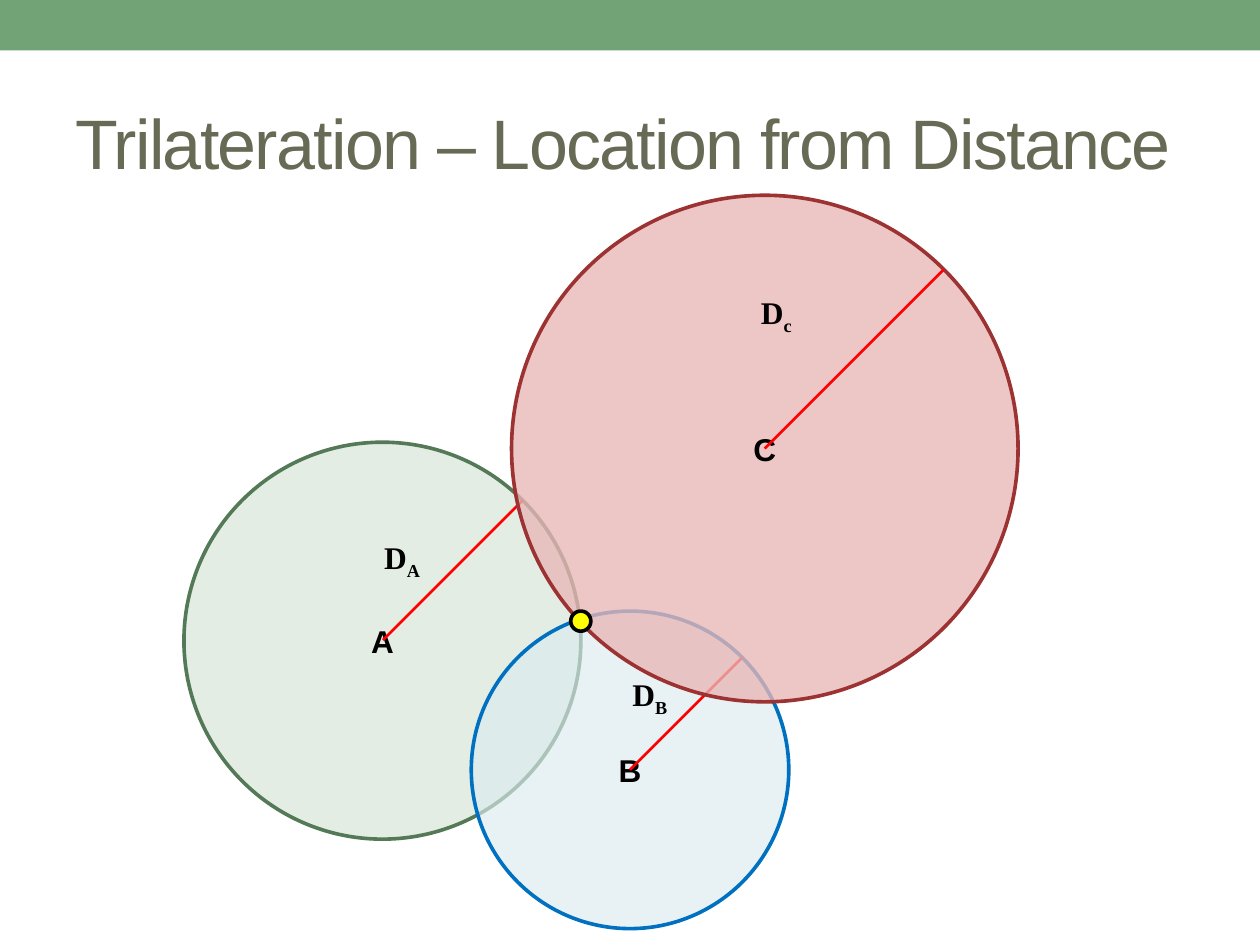
"""Build the trilateration slide: three range circles that meet at one point."""
from dataclasses import dataclass
from math import sqrt
from typing import Optional

from lxml.etree import SubElement as SubEl
from pptx import Presentation as Deck
from pptx.dml.color import RGBColor as Rgb
from pptx.enum.shapes import MSO_CONNECTOR as Link, MSO_SHAPE as Kind
from pptx.enum.text import MSO_ANCHOR as Anchor, MSO_AUTO_SIZE as Fit, PP_ALIGN as Align
from pptx.oxml.ns import qn
from pptx.util import Inches, Pt


@dataclass(frozen=True)
class Theme:
    band: str = "72A376"
    title: str = "676A55"
    ink: str = "000000"
    ray: str = "FF0000"
    dot: str = "FFFF00"
    sans: str = "Arial"
    serif: str = "Times New Roman"
    big: int = 40
    small: int = 18
    edge: float = 2.08
    thin: float = 1.5


@dataclass(frozen=True)
class Box:
    left: float
    top: float
    width: float
    height: float

    def emu(self) -> list:
        return [Inches(v) for v in (self.left, self.top, self.width, self.height)]


@dataclass(frozen=True)
class Range:
    name: str
    left: float
    top: float
    size: float
    fill: str
    line: str
    alpha: int
    sub: str
    label: Box
    back: Optional[str] = None


THEME = Theme()
RANGES = [
    Range("A", 1.46, 3.51, 3.15, "E3EDE4", "547957", 100, "A",
          Box(2.95, 4.22, 0.51, 0.4), "E3EDE4"),
    Range("B", 3.74, 4.85, 2.52, "DCEBEF", "0070C0", 65, "B",
          Box(4.92, 5.31, 0.51, 0.4)),
    Range("C", 4.06, 1.55, 4.02, "E8B7B7", "9D3232", 78, "c",
          Box(5.94, 2.28, 0.73, 0.64)),
]


def put(thing, form: dict) -> None:
    for key, value in form.items():
        setattr(thing, key, value)


def paint(shape, color: str, alpha: int = 100) -> None:
    shape.fill.solid()
    shape.fill.fore_color.rgb = Rgb.from_string(color)
    if alpha < 100:
        tint = shape.fill._xPr.find(".//" + qn("a:srgbClr"))
        SubEl(tint, qn("a:alpha"), val=str(alpha * 1000))


def stroke(shape, color: str, width: float) -> None:
    shape.line.color.rgb = Rgb.from_string(color)
    shape.line.width = Pt(width)


def write(para, text: str, font: str, size: int, color: str, bold: bool = True, **marks: str) -> None:
    run = para.add_run()
    run.text = text
    put(run.font, {"name": font, "size": Pt(size), "bold": bold})
    run.font.color.rgb = Rgb.from_string(color)
    put_marks = run._r.get_or_add_rPr().set
    for key, value in marks.items():
        put_marks(key, value)


def shape(slide, kind: Kind, box: Box, fill: str, line: Optional[str] = None, alpha: int = 100):
    item = slide.shapes.add_shape(kind, *box.emu())
    item.shadow.inherit = False
    paint(item, fill, alpha)
    if line:
        stroke(item, line, THEME.edge)
    else:
        item.line.fill.background()
    return item


def ray(slide, part: Range) -> None:
    half = part.size / 2
    x, y, reach = part.left + half, part.top + half, half / sqrt(2)
    ends = [Inches(round(v, 2)) for v in (x, y, x + reach, y - reach)]
    line = slide.shapes.add_connector(Link.STRAIGHT, *ends)
    stroke(line, THEME.ray, THEME.thin)
    SubEl(line._element.spPr, qn("a:effectLst"))


def label(slide, part: Range) -> None:
    item = slide.shapes.add_textbox(*part.label.emu())
    if part.back:
        paint(item, part.back)
    frame = item.text_frame
    put(frame, {"word_wrap": False, "auto_size": Fit.SHAPE_TO_FIT_TEXT})
    para = frame.paragraphs[0]
    write(para, "D", THEME.serif, THEME.small, THEME.ink)
    write(para, part.sub, THEME.serif, THEME.small, THEME.ink, baseline="-25000")


def circle(slide, part: Range) -> None:
    box = Box(part.left, part.top, part.size, part.size)
    disc = shape(slide, Kind.OVAL, box, part.fill, part.line, part.alpha)
    frame = disc.text_frame
    frame.vertical_anchor = Anchor.MIDDLE
    para = frame.paragraphs[0]
    para.alignment = Align.CENTER
    write(para, part.name, THEME.sans, THEME.small, THEME.ink)
    ray(slide, part)
    label(slide, part)


def title(slide, text: str) -> None:
    frame = slide.shapes.add_textbox(*Box(0.5, 0.58, 9, 1.08).emu()).text_frame
    put(frame, {"word_wrap": True, "auto_size": Fit.NONE, "vertical_anchor": Anchor.MIDDLE})
    write(frame.paragraphs[0], text, THEME.sans, THEME.big, THEME.title, False, spc="-100")


def main() -> None:
    deck = Deck()
    put(deck, {"slide_width": Inches(10), "slide_height": Inches(7.5)})
    slide = deck.slides.add_slide(deck.slide_layouts[6])
    shape(slide, Kind.RECTANGLE, Box(0, 0, 10, 0.4), THEME.band)
    title(slide, "Trilateration – Location from Distance")
    for part in RANGES:
        circle(slide, part)
    shape(slide, Kind.OVAL, Box(4.53, 4.85, 0.16, 0.16), THEME.dot, THEME.ink)
    deck.save("out.pptx")


if __name__ == "__main__":
    main()
